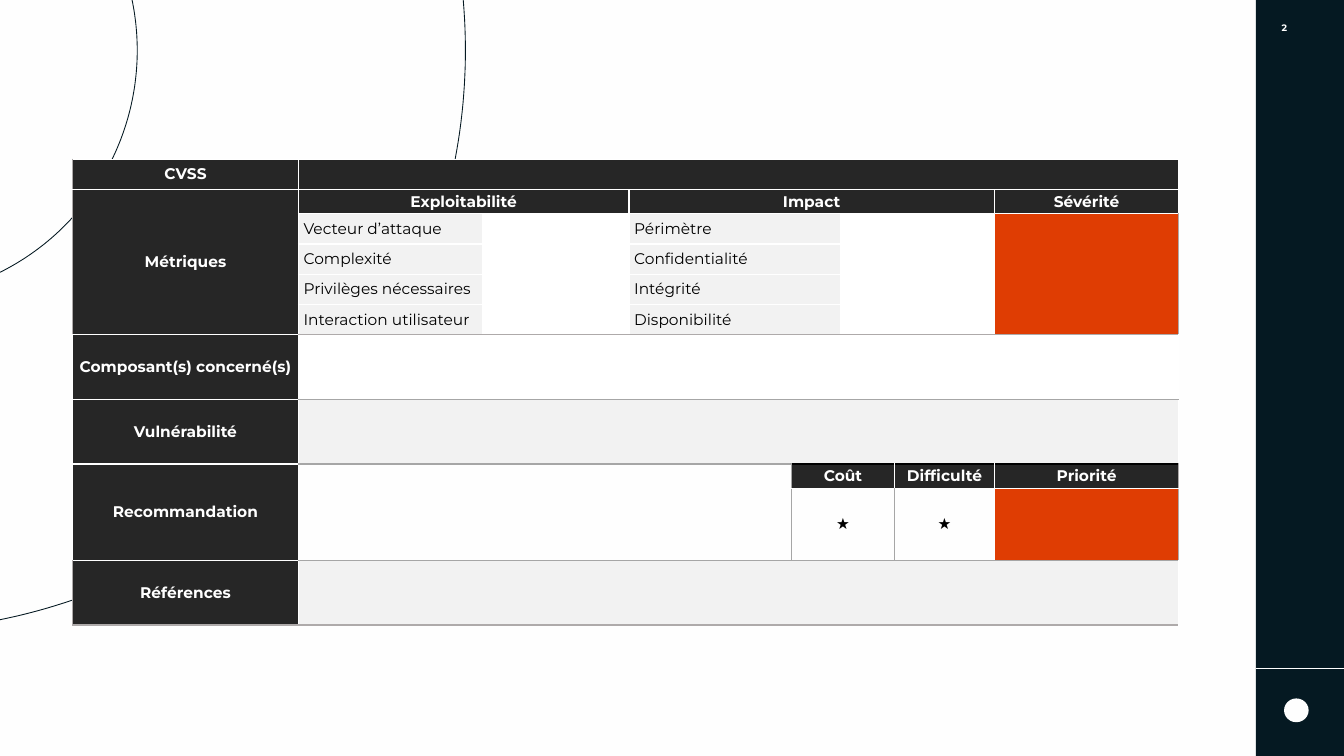
from itertools import product
from math import acos, asin, cos, sin

from lxml import etree
from pptx import Presentation
from pptx.dml.color import RGBColor
from pptx.enum.shapes import MSO_CONNECTOR, MSO_SHAPE
from pptx.enum.text import MSO_ANCHOR, PP_ALIGN
from pptx.oxml.ns import qn
from pptx.util import Cm, Pt

CENTER, LEFT = PP_ALIGN.CENTER, PP_ALIGN.LEFT
MIDDLE = MSO_ANCHOR.MIDDLE
OVAL, RECTANGLE = MSO_SHAPE.OVAL, MSO_SHAPE.RECTANGLE
STRAIGHT = MSO_CONNECTOR.STRAIGHT

FONT = "Montserrat"
NAVY, PAPER, WHITE, BLACK = "051922", "FEFEFE", "FFFFFF", "000000"
DARK, PALE, RED = "262626", "F2F2F2", "DF3D03"
BORDERS = {"W": WHITE, "G": "AEAAAA", "A": "A6A6A6", "K": BLACK}
WIDTH, HEIGHT = 33.87, 19.05
BAND_LEFT = 31.65
COLUMN_WIDTHS = [5.69, 4.65, 3.68, 4.09, 1.24, 1.37, 2.51, 4.65]
ROW_HEIGHTS = [0.77, 0.61, 0.76, 0.76, 0.76, 0.76, 1.63, 1.63, 0.61, 1.82, 1.63]

# Row, column, row span, column span, text, fill, borders (left, top, right, bottom)
CELLS = [
    (0, 0, 1, 1, "CVSS", DARK, "GWWW"),
    (0, 1, 1, 7, "", DARK, "WWWW"),
    (1, 0, 5, 1, "Métriques", DARK, "GWWW"),
    (1, 1, 1, 2, "Exploitabilité", DARK, "WWWW"),
    (1, 3, 1, 4, "Impact", DARK, "WWWW"),
    (1, 7, 1, 1, "Sévérité", DARK, "WWWW"),
    (2, 7, 4, 1, "", RED, "WWGG"),
    (6, 0, 1, 1, "Composant(s) concerné(s)", DARK, "WWWW"),
    (6, 1, 1, 7, "", WHITE, "WGGA"),
    (7, 0, 1, 1, "Vulnérabilité", DARK, "WWWW"),
    (7, 1, 1, 7, "", PALE, "WAGA"),
    (8, 0, 2, 1, "Recommandation", DARK, "WWWW"),
    (8, 1, 2, 3, "", PAPER, "WAAA"),
    (8, 4, 1, 2, "Coût", DARK, "AKWW"),
    (8, 6, 1, 1, "Difficulté", DARK, "WKWW"),
    (8, 7, 1, 1, "Priorité", DARK, "WKGW"),
    (9, 4, 1, 2, "★", None, "AWAA"),
    (9, 6, 1, 1, "★", None, "AWWA"),
    (9, 7, 1, 1, "", RED, "WWGA"),
    (10, 0, 1, 1, "Références", DARK, "GWWG"),
    (10, 1, 1, 7, "", PALE, "WAGG"),
]
METRICS = [
    ("Vecteur d’attaque", "Périmètre"),
    ("Complexité", "Confidentialité"),
    ("Privilèges nécessaires", "Intégrité"),
    ("Interaction utilisateur", "Disponibilité"),
]


def rgb(value):
    """Turn a hex string into a colour."""
    return RGBColor.from_string(value)


def add_run(paragraph, text, size, color, bold):
    """Append one formatted run."""
    run = paragraph.add_run()
    run.text = text
    run.font.name, run.font.size, run.font.bold = FONT, Pt(size), bold
    run.font.color.rgb = rgb(color)


def add_solid(slide, kind, left, top, width, height, color):
    """Add a filled preset shape without outline."""
    shape = slide.shapes.add_shape(kind, Cm(left), Cm(top), Cm(width), Cm(height))
    shape.shadow.inherit = False
    shape.fill.solid()
    shape.fill.fore_color.rgb = rgb(color)
    shape.line.fill.background()


def add_arc(slide, center_x, center_y, radius, steps=90):
    """Draw the arc of a circle from the top edge to the left edge of the slide."""
    start, end = asin(-center_y / radius), acos(-center_x / radius)
    angles = [start + (end - start) * step / steps for step in range(steps + 1)]
    points = [(Cm(center_x + radius * cos(angle)), Cm(center_y + radius * sin(angle)))
              for angle in angles]
    builder = slide.shapes.build_freeform(*points[0])
    builder.add_line_segments(points[1:], close=False)
    shape = builder.convert_to_shape()
    shape.shadow.inherit = False
    shape.fill.background()
    shape.line.color.rgb = rgb(NAVY)
    shape.line.width = Pt(0.62)


def add_rule(slide, left, right, top, color):
    """Add a thin horizontal line."""
    connector = slide.shapes.add_connector(STRAIGHT, Cm(left), Cm(top), Cm(right), Cm(top))
    connector.line.color.rgb = rgb(color)
    connector.line.width = Pt(0.62)
    etree.SubElement(connector._element.spPr, qn("a:effectLst"))


def add_page_number(slide, text):
    """Write the page number at the top of the side band."""
    box = slide.shapes.add_textbox(Cm(32.05), Cm(0.43), Cm(1), Cm(1))
    box.text_frame.word_wrap = True
    add_run(box.text_frame.paragraphs[0], text, 6.7, WHITE, True)


def set_borders(cell, borders):
    """Draw the given sides of a cell, in schema order, ahead of its fill."""
    properties = cell._tc.get_or_add_tcPr()
    sides = [side for side in "LRTB" if side in borders]
    for index, side in enumerate(sides):
        line = etree.Element(qn("a:ln" + side), w=str(Pt(1)))
        fill = etree.SubElement(line, qn("a:solidFill"))
        etree.SubElement(fill, qn("a:srgbClr"), val=BORDERS[borders[side]])
        properties.insert(index, line)


def format_cell(cell, fill):
    """Set fill, margins and the size of an empty line."""
    cell.margin_left = cell.margin_right = Cm(0.13)
    cell.margin_top = cell.margin_bottom = 0
    cell.vertical_anchor = MIDDLE
    cell.text_frame.paragraphs[0]._p.get_or_add_endParaRPr().set("sz", "1100")
    if fill:
        cell.fill.solid()
        cell.fill.fore_color.rgb = rgb(fill)
    else:
        cell.fill.background()


def fill_block(table, row, column, row_span, column_span, text, fill, borders):
    """Merge a block of cells, outline it and write its text."""
    last_row, last_column = row + row_span - 1, column + column_span - 1
    for y, x in product(range(row, last_row + 1), range(column, last_column + 1)):
        on_edge = (x == column, y == row, x == last_column, y == last_row)
        outer = {side: code for side, code, edge in zip("LTRB", borders, on_edge) if edge}
        format_cell(table.cell(y, x), fill)
        set_borders(table.cell(y, x), outer)
    cell = table.cell(row, column)
    if row_span * column_span > 1:
        cell.merge(table.cell(last_row, last_column))
    if text:
        paragraph = cell.text_frame.paragraphs[0]
        paragraph.alignment = LEFT if fill == PALE else CENTER
        color = WHITE if fill == DARK else BLACK
        add_run(paragraph, text, 11, color, fill == DARK)


def metric_cells():
    """List the label and value blocks of the metrics rows."""
    blocks = []
    for row, (exploitability, impact) in enumerate(METRICS, start=2):
        borders = "WWWG" if row == len(METRICS) + 1 else "WWWW"
        blocks += [
            (row, 1, 1, 1, exploitability, PALE, borders),
            (row, 2, 1, 1, "", WHITE, borders),
            (row, 3, 1, 2, impact, PALE, borders),
            (row, 5, 1, 2, "", WHITE, borders),
        ]
    return blocks


def add_vulnerability_table(slide):
    """Add the vulnerability sheet."""
    frame = slide.shapes.add_table(
        len(ROW_HEIGHTS), len(COLUMN_WIDTHS), Cm(1.83), Cm(4.01),
        Cm(sum(COLUMN_WIDTHS)), Cm(sum(ROW_HEIGHTS)))
    table = frame.table
    table.first_row = table.horz_banding = False
    for column, width in zip(table.columns, COLUMN_WIDTHS):
        column.width = Cm(width)
    for row, height in zip(table.rows, ROW_HEIGHTS):
        row.height = Cm(height)
    for block in sorted(CELLS + metric_cells(), key=lambda item: item[:2]):
        fill_block(table, *block)


def main():
    """Build the slide and save it."""
    presentation = Presentation()
    presentation.slide_width, presentation.slide_height = Cm(WIDTH), Cm(HEIGHT)
    slide = presentation.slides.add_slide(presentation.slide_layouts[6])
    slide.background.fill.solid()
    slide.background.fill.fore_color.rgb = rgb(PAPER)
    add_arc(slide, -2.91, 1.27, 14.64)
    add_arc(slide, -2.79, 1.27, 6.25)
    add_solid(slide, RECTANGLE, BAND_LEFT, 0, WIDTH - BAND_LEFT, HEIGHT, NAVY)
    add_rule(slide, BAND_LEFT, WIDTH, 16.84, PAPER)
    add_solid(slide, OVAL, 32.36, 17.6, 0.62, 0.6, PAPER)
    add_page_number(slide, "2")
    add_vulnerability_table(slide)
    presentation.save("out.pptx")


if __name__ == "__main__":
    main()
